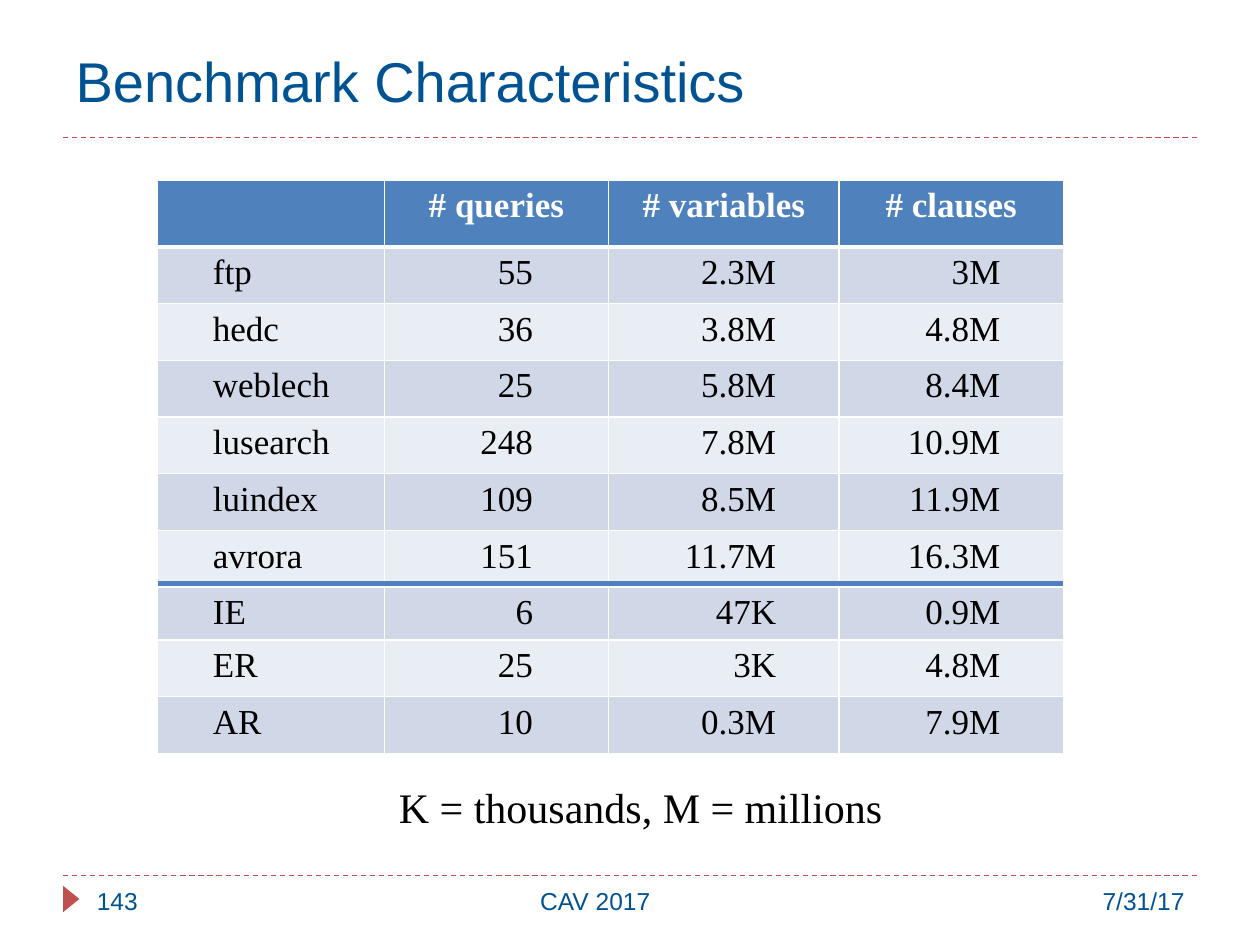
from lxml import etree
from pptx import Presentation
from pptx.dml.color import RGBColor
from pptx.enum import dml, shapes, text
from pptx.oxml import ns
from pptx.util import Inches, Pt

# Content
TITLE = "Benchmark Characteristics"
HEADER = ["", "# queries", "# variables", "# clauses"]
BENCHMARKS = [
    ("ftp", "55", "2.3M", "3M"),
    ("hedc", "36", "3.8M", "4.8M"),
    ("weblech", "25", "5.8M", "8.4M"),
    ("lusearch", "248", "7.8M", "10.9M"),
    ("luindex", "109", "8.5M", "11.9M"),
    ("avrora", "151", "11.7M", "16.3M"),
    ("IE", "6", "47K", "0.9M"),
    ("ER", "25", "3K", "4.8M"),
    ("AR", "10", "0.3M", "7.9M"),
]
LEGEND = "K = thousands, M = millions"

NAVY, RED, BLUE, WHITE, BLACK = "005392", "C0504D", "4F81BD", "FFFFFF", "000000"
BANDS = ["D0D8E8", "E9EDF4"]
SANS, SERIF = "Arial", "Times New Roman"
LEFT, CENTER, RIGHT = text.PP_ALIGN.LEFT, text.PP_ALIGN.CENTER, text.PP_ALIGN.RIGHT

# (text, left, top, width, height, alignment, size, font, colour)
LABELS = [
    ("143", 0.67, 6.98, 0.89, 0.4, LEFT, 14, SANS, NAVY),
    ("CAV 2017", 1.56, 6.98, 6.33, 0.4, CENTER, 14, SANS, NAVY),
    ("7/31/17", 7, 6.98, 2.5, 0.4, RIGHT, 14, SANS, NAVY),
    (LEGEND, 2.82, 6.15, 4.53, 0.5, CENTER, 24, SERIF, BLACK),
]

# Table geometry
TABLE_LEFT, TABLE_TOP = 1.25, 1.43
COLUMN_WIDTHS = [1.8, 1.78, 1.83, 1.78]
ROW_HEIGHTS = [0.53] + [0.45] * 6 + [0.42] + [0.45] * 2
SIDE_MARGINS = [(0.44, 0.1), (0.1, 0.6), (0.1, 0.5), (0.1, 0.5)]


def rgb(value):
    return RGBColor.from_string(value)


def write(frame, words, align, size, font, color, bold=False):
    frame.text = words
    paragraph = frame.paragraphs[0]
    paragraph.alignment = align
    for run in paragraph.runs:
        run.font.size, run.font.name, run.font.bold = Pt(size), font, bold
        run.font.color.rgb = rgb(color)


def rule(slide, left, right, top, color, width, dash=None):
    line = slide.shapes.add_connector(
        shapes.MSO_CONNECTOR.STRAIGHT,
        Inches(left), Inches(top), Inches(right), Inches(top))
    line.line.color.rgb = rgb(color)
    line.line.width = Pt(width)
    if dash:
        line.line.dash_style = dash
    etree.SubElement(line._element.spPr, ns.qn("a:effectLst"))


def border(cell, side, width):
    edge = etree.SubElement(cell._tc.get_or_add_tcPr(), ns.qn(f"a:ln{side}"), w=str(Pt(width)))
    fill = etree.SubElement(edge, ns.qn("a:solidFill"))
    etree.SubElement(fill, ns.qn("a:srgbClr"), val=WHITE)


def add_benchmark_table(slide):
    rows = [HEADER, *BENCHMARKS]
    table = slide.shapes.add_table(
        len(rows), len(HEADER), Inches(TABLE_LEFT), Inches(TABLE_TOP),
        Inches(sum(COLUMN_WIDTHS)), Inches(sum(ROW_HEIGHTS))).table
    for column, width in zip(table.columns, COLUMN_WIDTHS):
        column.width = Inches(width)
    for r, values in enumerate(rows):
        table.rows[r].height = Inches(ROW_HEIGHTS[r])
        for c, value in enumerate(values):
            cell = table.cell(r, c)
            is_header = r == 0
            before, after = (0, 0) if is_header else SIDE_MARGINS[c]
            cell.margin_left, cell.margin_right = Inches(before), Inches(after)
            widths = {"L": 1, "R": 1, "T": 3 if r == 1 else 1, "B": 3 if is_header else 1}
            for side, width in widths.items():
                border(cell, side, width)
            cell.fill.solid()
            cell.fill.fore_color.rgb = rgb(BLUE if is_header else BANDS[(r - 1) % 2])
            align = CENTER if is_header else RIGHT if c else LEFT
            write(cell.text_frame, value, align, 20, SERIF,
                  WHITE if is_header else BLACK, is_header)


def main():
    prs = Presentation()
    prs.slide_width, prs.slide_height = Inches(10), Inches(7.5)
    slide = prs.slides.add_slide(prs.slide_layouts[5])

    # Title
    title = slide.shapes.title
    title.left, title.top = Inches(0.5), Inches(0.17)
    title.width, title.height = Inches(9), Inches(0.93)
    title.text_frame.vertical_anchor = text.MSO_ANCHOR.MIDDLE
    write(title.text_frame, TITLE, LEFT, 32, SANS, NAVY)

    # Dashed rules and page marker
    for top in (1.09, 6.95):
        rule(slide, 0.5, 9.5, top, RED, 0.75, dml.MSO_LINE.DASH)
    marker = slide.shapes.add_shape(
        shapes.MSO_SHAPE.ISOSCELES_TRIANGLE,
        Inches(0.46), Inches(7.07), Inches(0.21), Inches(0.13))
    marker.rotation = 90
    marker.shadow.inherit = False
    marker.fill.solid()
    marker.fill.fore_color.rgb = rgb(RED)
    marker.line.fill.background()

    # Table, with a rule between the two benchmark groups
    add_benchmark_table(slide)
    rule(slide, TABLE_LEFT, TABLE_LEFT + sum(COLUMN_WIDTHS), 4.63, BLUE, 2.5)

    # Legend and footer
    for words, left, top, width, height, *style in LABELS:
        label = slide.shapes.add_textbox(
            Inches(left), Inches(top), Inches(width), Inches(height))
        label.text_frame.word_wrap = True
        write(label.text_frame, words, *style)

    prs.save("out.pptx")


if __name__ == "__main__":
    main()
